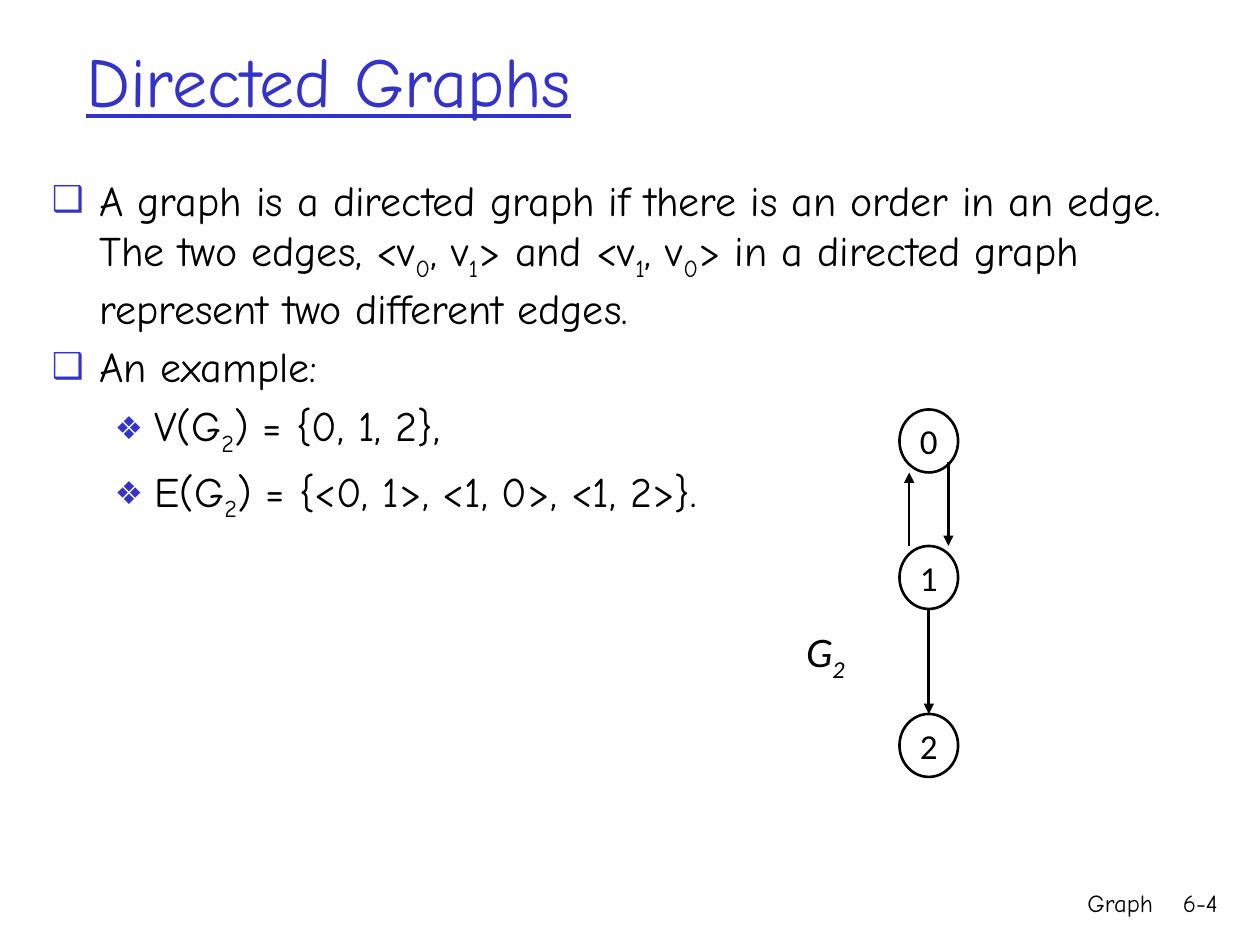
from dataclasses import dataclass

from lxml import etree
from pptx import Presentation
from pptx.dml.color import RGBColor
from pptx.enum import shapes, text
from pptx.oxml import ns
from pptx.util import Pt

BLUE = RGBColor(0x33, 0x33, 0xCC)
BLACK = RGBColor(0, 0, 0)
HAND = "Comic Neue"
SANS = "Calibri"
LEFT = text.PP_ALIGN.LEFT
RIGHT = text.PP_ALIGN.RIGHT
MID = text.PP_ALIGN.CENTER


@dataclass
class Box:
    x: float
    y: float
    w: float
    h: float


@dataclass
class Item:
    words: str
    level: int = 0


@dataclass
class Style:
    mark: str
    size: int
    margin: float
    hang: float


@dataclass
class Node:
    name: str
    y: float


@dataclass
class Edge:
    x: float
    start: float
    end: float


STYLES = [Style("❑", 85, 27, 27), Style("❖", 75, 58.5, 22.5)]
ITEMS = [
    Item("A graph is a directed graph if there is an order in an edge. "
         "The two edges, <v_0_, v_1_> and <v_1_, v_0_> in a directed graph "
         "represent two different edges."),
    Item("An example:"),
    Item("V(G_2_) = {0, 1, 2},", 1),
    Item("E(G_2_) = {<0, 1>, <1, 0>, <1, 2>}.", 1),
]
NODE_X, NODE_W, NODE_H = 514, 33.5, 36
AXIS = NODE_X + NODE_W / 2
SIDE = 11.2
NODES = [Node("0", 234), Node("1", 312), Node("2", 408)]
EDGES = [
    Edge(AXIS - SIDE, 312, 270),
    Edge(AXIS, 348, 408),
    Edge(AXIS + SIDE, 264, 312),
]


def place(shape, box: Box) -> None:
    shape.left, shape.top = Pt(box.x), Pt(box.y)
    shape.width, shape.height = Pt(box.w), Pt(box.h)


def add_tag(parent, name: str, **attrs: str):
    return etree.SubElement(parent, ns.qn(name), attrs)


def write(para, words: str, size: float, face: str, align=LEFT,
          color: RGBColor = BLACK) -> None:
    for i, part in enumerate(words.split("_")):
        if part:
            run = para.add_run()
            run.text = part
            if i % 2:
                run.font._element.set("baseline", "-25000")
    para.alignment = align
    font = para.font
    font.size, font.name = Pt(size), face
    font.color.rgb = color


def add_mark(para, style: Style) -> None:
    props = para._p.get_or_add_pPr()
    props.set("marL", str(Pt(style.margin)))
    props.set("indent", str(-Pt(style.hang)))
    add_tag(add_tag(props, "a:buClr"), "a:srgbClr", val=str(BLUE))
    add_tag(props, "a:buSzPct", val=str(style.size * 1000))
    add_tag(props, "a:buChar", char=style.mark)


def fill_title(shape) -> None:
    place(shape, Box(42, 18, 612, 54.7))
    frame = shape.text_frame
    frame.auto_size = text.MSO_AUTO_SIZE.NONE
    frame.vertical_anchor = text.MSO_ANCHOR.MIDDLE
    para = frame.paragraphs[0]
    write(para, "Directed Graphs", 40, HAND, color=BLUE)
    para.font.underline = True


def fill_body(shape) -> None:
    place(shape, Box(22.5, 96, 692.5, 174))
    frame = shape.text_frame
    frame.auto_size = text.MSO_AUTO_SIZE.NONE
    for i, item in enumerate(ITEMS):
        para = frame.add_paragraph() if i else frame.paragraphs[0]
        para.level = item.level
        para.space_before = Pt(4.8)
        add_mark(para, STYLES[item.level])
        write(para, item.words, 24, HAND)


def add_label(slide, words: str, box: Box, size: float, face: str,
              align=LEFT, wrap: bool = True):
    shape = slide.shapes.add_textbox(
        Pt(box.x), Pt(box.y), Pt(box.w), Pt(box.h))
    shape.text_frame.word_wrap = wrap
    para = shape.text_frame.paragraphs[0]
    write(para, words, size, face, align)
    return para


def add_node(slide, node: Node) -> None:
    shape = slide.shapes.add_shape(
        shapes.MSO_SHAPE.OVAL, Pt(NODE_X), Pt(node.y), Pt(NODE_W), Pt(NODE_H))
    shape.shadow.inherit = False
    shape.fill.background()
    shape.line.color.rgb = BLACK
    shape.line.width = Pt(1.5)
    frame = shape.text_frame
    frame.word_wrap = False
    frame.vertical_anchor = text.MSO_ANCHOR.MIDDLE
    write(frame.paragraphs[0], node.name, 20, SANS, MID)


def add_edge(slide, edge: Edge) -> None:
    line = slide.shapes.add_connector(
        shapes.MSO_CONNECTOR.STRAIGHT,
        Pt(edge.x), Pt(edge.start), Pt(edge.x), Pt(edge.end))
    line.line.color.rgb = BLACK
    line.line.width = Pt(1.5)
    add_tag(line.line._get_or_add_ln(), "a:tailEnd", type="triangle")
    add_tag(line._element.spPr, "a:effectLst")


def main() -> None:
    deck = Presentation()
    deck.slide_width, deck.slide_height = Pt(720), Pt(540)
    slide = deck.slides.add_slide(deck.slide_layouts[1])
    fill_title(slide.shapes.title)
    fill_body(slide.placeholders[1])
    add_label(slide, "Graph", Box(438, 504, 228, 36), 14, HAND, RIGHT)
    add_label(slide, "6-4", Box(654, 504, 49, 36), 14, HAND, RIGHT)
    name = add_label(slide, "G_2_", Box(453.5, 354, 42.5, 36.5), 24, SANS,
                     wrap=False)
    name.font.italic = True
    for node in NODES:
        add_node(slide, node)
    for edge in EDGES:
        add_edge(slide, edge)
    deck.save("out.pptx")


if __name__ == "__main__":
    main()
